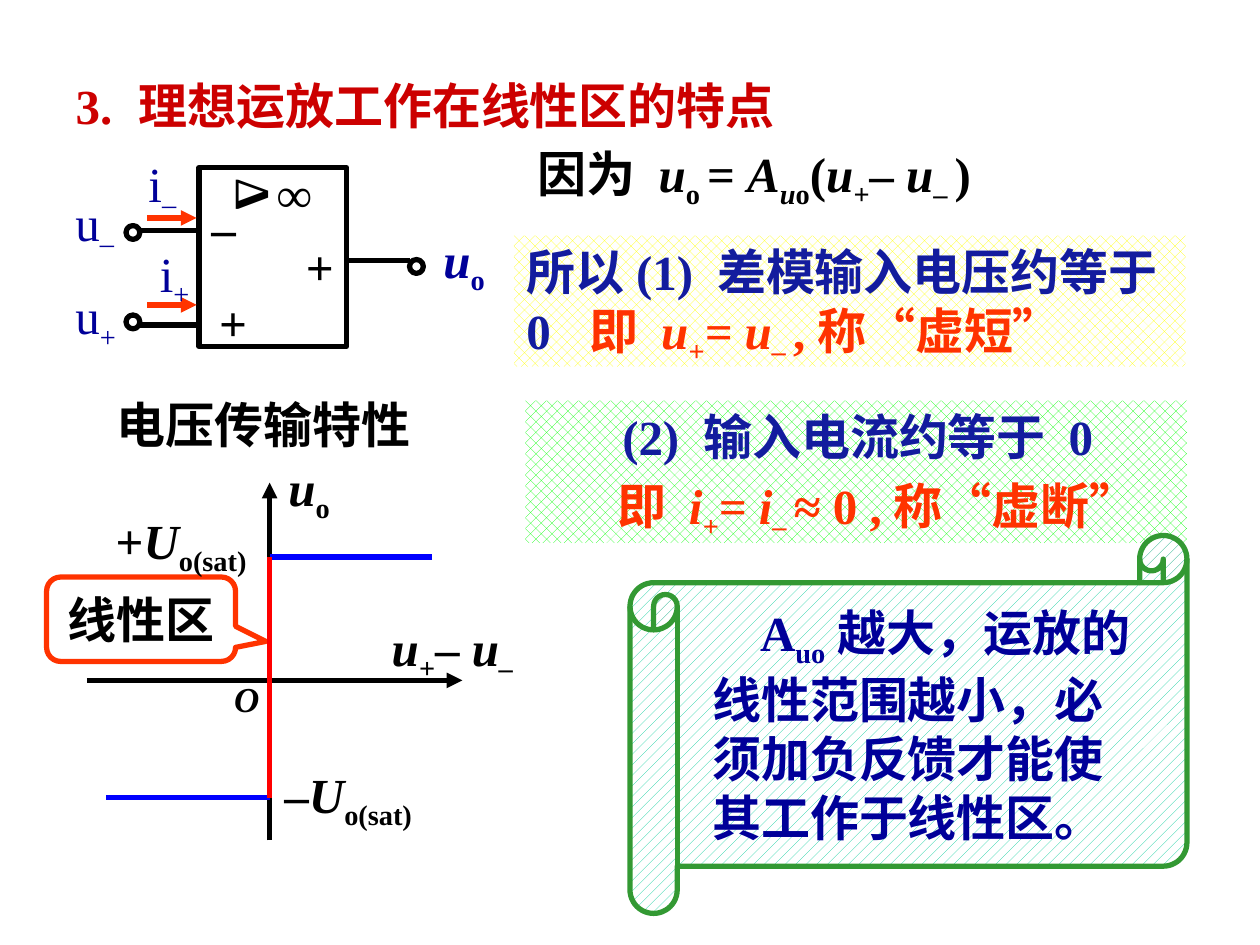
from lxml import etree
from pptx import Presentation
from pptx.dml.color import RGBColor
from pptx.enum.dml import MSO_PATTERN
from pptx.enum.shapes import MSO_CONNECTOR, MSO_SHAPE
from pptx.enum.text import MSO_ANCHOR, MSO_AUTO_SIZE, PP_ALIGN
from pptx.oxml.ns import qn
from pptx.util import Inches, Pt

RECT, OVAL = MSO_SHAPE.RECTANGLE, MSO_SHAPE.OVAL
SCROLL, CALLOUT = MSO_SHAPE.HORIZONTAL_SCROLL, MSO_SHAPE.ROUNDED_RECTANGULAR_CALLOUT
PCT_20, PCT_40 = MSO_PATTERN.PERCENT_20, MSO_PATTERN(6)
STRAIGHT = MSO_CONNECTOR.STRAIGHT
TOP, MIDDLE = MSO_ANCHOR.TOP, MSO_ANCHOR.MIDDLE
LEFT, CENTER = PP_ALIGN.LEFT, PP_ALIGN.CENTER
NO_FIT = MSO_AUTO_SIZE.NONE
BLACK, WHITE, NAVY, INDIGO = "000000", "FFFFFF", "000099", "131C9E"
ORANGE, BLUE, RED, GREEN = "FF3300", "0000FF", "FF0000", "339933"
rgb = RGBColor.from_string


def write(p, runs, color, size=28, left=0, first=0, tab=0, align=LEFT):
    p.alignment = align
    pPr = p._p.get_or_add_pPr()
    pPr.set("marL", str(Inches(left)))
    pPr.set("indent", str(Inches(first)))
    if tab:
        tabs = etree.SubElement(pPr, qn("a:tabLst"))
        etree.SubElement(tabs, qn("a:tab"), pos=str(Inches(tab)), algn="l")
    for text, style, *own_color in runs:
        r = p.add_run()
        r.text = text
        r.font.name = "Times New Roman"
        r.font.size = Pt(size)
        r.font.bold = "b" in style
        r.font.italic = "i" in style
        r.font.color.rgb = rgb(own_color[0] if own_color else color)
        if "_" in style:
            r._r.get_or_add_rPr().set("baseline", "-25000")


def add_outline(kind, x, y, w, h, line=None, pattern=None, anchor=TOP):
    sp = s.shapes.add_shape(kind, Inches(x), Inches(y), Inches(w), Inches(h))
    sp.shadow.inherit = False
    if pattern:
        sp.fill.patterned()
        sp.fill.pattern = pattern[0]
        sp.fill.fore_color.rgb = rgb(pattern[1])
        sp.fill.back_color.rgb = rgb(WHITE)
    else:
        sp.fill.background()
    if line:
        sp.line.color.rgb = rgb(line)
        sp.line.width = Pt(3)
    else:
        sp.line.fill.background()
    sp.text_frame.word_wrap = True
    sp.text_frame.vertical_anchor = anchor
    return sp


prs = Presentation()
prs.slide_width, prs.slide_height = Inches(10), Inches(7.5)
s = prs.slides.add_slide(prs.slide_layouts[5])

title = s.shapes.title
title.left, title.top = Inches(0.5), Inches(0.5)
title.width, title.height = Inches(6.83), Inches(0.67)
tf = title.text_frame
tf.auto_size = NO_FIT
tf.vertical_anchor = MIDDLE
write(tf.paragraphs[0], [("3.\t理想运放工作在线性区的特点", "b")], "CC0000", tab=0.57)

short = add_outline(RECT, 4.08, 1.87, 5.33, 1.04, pattern=(PCT_40, "FFFF00"))
write(short.text_frame.paragraphs[0], [
    ("所以(1) 差模输入电压约等于0\t", "b", INDIGO), ("即 ", "b"), ("u", "bi"), ("+", "bi_"),
    ("= u", "bi"), ("– ", "bi_"), (",称“虚短”", "b")], ORANGE, tab=0.88)

cutoff = add_outline(RECT, 4.17, 3.18, 5.25, 1.13, pattern=(PCT_40, "00FF00"))
tf = cutoff.text_frame
write(tf.paragraphs[0], [("(2) 输入电流约等于 0", "b")], INDIGO, left=0.67)
p = tf.add_paragraph()
p.space_before = Pt(5.6)
write(p, [("即 ", "b"), ("i", "bi"), ("+", "bi_"), ("= i", "bi"), ("– ", "b_"),
          ("≈ 0 ,称“虚断”", "b")], ORANGE, left=0.63)

scroll = add_outline(SCROLL, 5, 4.25, 4.42, 3, GREEN, (PCT_20, "00CC99"), MIDDLE)
scroll.adjustments[0] = 0.125
tf = scroll.text_frame
write(tf.paragraphs[0], [("A", "b"), ("uo", "b_"), ("越大，运放的", "b")], NAVY,
      left=0.18, first=0.38)
for text in ["线性范围越小，必", "须加负反馈才能使", "其工作于线性区。"]:
    write(tf.add_paragraph(), [(text, "b")], NAVY, left=0.18)

add_outline(RECT, 1.58, 1.33, 1.17, 1.42, BLACK)
for x, y in [(3.25, 2.06), (1, 1.79), (1, 2.5)]:
    add_outline(OVAL, x, y, 0.11, 0.11, BLACK)

callout = add_outline(CALLOUT, 0.37, 4.58, 1.5, 0.67, ORANGE, anchor=MIDDLE)
for i, value in enumerate([0.66, 0.263, 0.167]):
    callout.adjustments[i] = value
write(callout.text_frame.paragraphs[0], [("线性区", "b")], BLACK, align=CENTER)

lines = [
    (1.1, 2.58, 1.58, 2.58, BLACK, False),
    (1.11, 1.83, 1.59, 1.83, BLACK, False),
    (2.75, 2.07, 3.25, 2.07, BLACK, False),
    (1.17, 1.73, 1.56, 1.73, ORANGE, True),
    (1.17, 2.42, 1.56, 2.42, ORANGE, True),
    (0.69, 5.4, 3.67, 5.4, BLACK, True),
    (2.14, 6.67, 2.14, 3.83, BLACK, True),
    (2.14, 6.33, 0.84, 6.33, BLUE, False),
    (3.43, 4.42, 2.14, 4.42, BLUE, False),
    (2.14, 4.42, 2.14, 6.33, RED, False),
]
for x1, y1, x2, y2, color, arrow in lines:
    line = s.shapes.add_connector(STRAIGHT, Inches(x1), Inches(y1), Inches(x2), Inches(y2))
    line.line.color.rgb = rgb(color)
    line.line.width = Pt(3)
    if arrow:
        etree.SubElement(line.line._get_or_add_ln(), qn("a:tailEnd"), type="triangle")
    etree.SubElement(line._element.spPr, qn("a:effectLst"))

u_o = [("u", "bi"), ("o", "b_")]
labels = [
    (4.17, 1.09, 5.17, BLACK, [
        ("因为 ", "b"), ("u", "bi"), ("o ", "b_"), ("= ", "b"), ("A", "bi"), ("u", "bi_"),
        ("o", "b_"), ("(", "b"), ("u", "bi"), ("+", "bi_"), ("– ", "b"), ("u", "bi"),
        ("– ", "b_"), (")", "b")], {}),
    (0.83, 3.08, 3.5, BLACK, [("电压传输特性", "b")], {}),
    (1.64, 2.27, 0.45, BLACK, [("+", "b")], {}),
    (2.33, 1.83, 0.45, BLACK, [("+", "b")], {}),
    (2.1, 1.25, 0.9, BLACK, [("∞", "b")], {}),
    (1.58, 1.52, 0.45, BLACK, [("–", "b")], {}),
    (1.8, 1.27, 0.45, BLACK, [("Δ", "b")], {}),
    (3.42, 1.77, 0.58, NAVY, u_o, {}),
    (0.5, 1.48, 0.67, NAVY, [("u", ""), ("–", "_")], {}),
    (0.5, 2.22, 0.57, NAVY, [("u", ""), ("+", "_")], {}),
    (1.17, 1.88, 0.46, NAVY, [("i", ""), ("+", "_")], {}),
    (1.08, 1.17, 0.44, NAVY, [("i", ""), ("–", "_")], {}),
    (2.62, 4.85, 2.13, BLACK, [
        ("u", "bi"), ("+", "bi_"), ("– ", "b"), ("u", "bi"), ("–", "bi_")], {"left": 0.39}),
    (2.19, 3.58, 0.74, BLACK, u_o, {}),
    (2.16, 6.02, 1.63, BLACK, [("–", "b"), ("U", "bi"), ("o(sat)", "b_")], {}),
    (0.82, 4, 1.63, BLACK, [("+", "b"), ("U", "bi"), ("o(sat)", "b_")], {}),
    (1.69, 5.33, 0.47, BLACK, [("O", "bi")], {"left": 0.07, "size": 20}),
]
for x, y, w, color, runs, layout in labels:
    box = s.shapes.add_textbox(Inches(x), Inches(y), Inches(w), Inches(0.57))
    box.text_frame.word_wrap = w > 0.6
    write(box.text_frame.paragraphs[0], runs, color, **layout)
    if runs[0][0] == "Δ":
        box.rotation = 90

prs.save("out.pptx")
